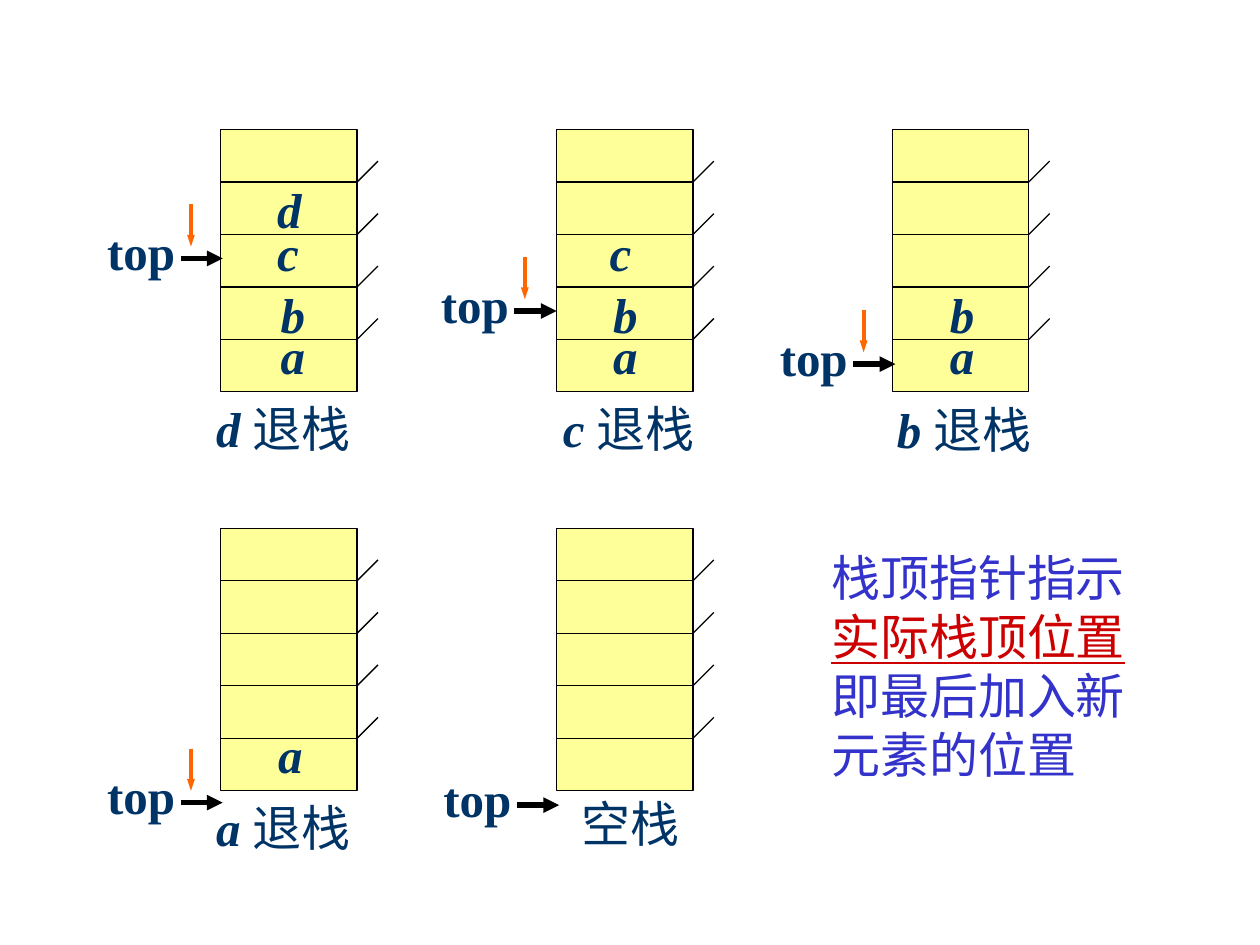
from dataclasses import dataclass

from lxml.etree import SubElement
from pptx import Presentation
from pptx.dml.color import RGBColor
from pptx.enum.shapes import MSO_CONNECTOR, MSO_SHAPE
from pptx.enum.text import MSO_ANCHOR, MSO_AUTO_SIZE, PP_ALIGN
from pptx.oxml.ns import qn
from pptx.util import Cm, Pt

COLORS = {
    "cell": "FFFF99",
    "line": "000000",
    "text": "003366",
    "move": "FF6600",
    "note": "3333CC",
    "key": "CC0000",
}
FONT = "Times New Roman"
CELLS = 5
STACK_WIDTH, STACK_HEIGHT = 2.75, 5.29
CELL_HEIGHT = STACK_HEIGHT / CELLS
NOTCH = 0.42
TEXT_HEIGHT = 1.45
FIRST_LEFT, COLUMN_STEP = 4.45, 6.77
FIRST_TOP, ROW_STEP = 2.61, 8.04
LETTERS = {
    "a": (4, 0, -0.4, 0.99),
    "b": (3, 0, -0.18, 0.99),
    "c": (2, -0.07, -0.36, 0.94),
    "d": (1, -0.07, -0.18, 0.99),
}


@dataclass
class Stack:
    """State of one stack after an element has been removed."""
    column: int
    row: int
    content: str
    letter_offset: float
    pointer_left: float
    pointer_y: float
    removed: str
    caption: str
    caption_box: tuple


STACKS = [
    Stack(0, 0, "abcd", 0.96, 1.91, 5.21, "d", "退栈", (4.11, 7.9, 3.5)),
    Stack(1, 0, "abc", 0.89, 8.64, 6.27, "c", "退栈", (11.1, 7.9, 3.45)),
    Stack(2, 0, "ab", 0.91, 15.47, 7.34, "b", "退栈", (17.83, 7.92, 3.5)),
    Stack(0, 1, "a", 0.91, 1.91, 16.18, "a", "退栈", (4.11, 15.95, 3.5)),
    Stack(1, 1, "", 0.91, 8.69, 16.23, "", "空栈", (11.48, 15.88, 2.5)),
]
NOTE = [
    ("栈顶指针指示", "note", False),
    ("实际栈顶位置", "key", True),
    ("即最后加入新", "note", False),
    ("元素的位置", "note", False),
]


def add_line(shapes, start, end, color="line", width=0.75, arrow=None):
    """Draw a straight line, with an arrowhead of the given width if asked."""
    line = shapes.add_connector(
        MSO_CONNECTOR.STRAIGHT, *(Cm(value) for value in (*start, *end)))
    line.line.color.rgb = RGBColor.from_string(COLORS[color])
    line.line.width = Pt(width)
    if arrow:
        SubElement(line.line._get_or_add_ln(), qn("a:tailEnd"),
                   type="triangle", w=arrow, len="med")
    SubElement(line._element.spPr, qn("a:effectLst"))


def add_text_box(shapes, left, top, width, height=TEXT_HEIGHT):
    """Add an unwrapped text box that fits its text and return its frame."""
    box = shapes.add_textbox(Cm(left), Cm(top), Cm(width), Cm(height))
    text_frame = box.text_frame
    text_frame.word_wrap = False
    text_frame.auto_size = MSO_AUTO_SIZE.SHAPE_TO_FIT_TEXT
    text_frame.vertical_anchor = MSO_ANCHOR.TOP
    return text_frame


def add_run(paragraph, text, color="text", bold=False, italic=False,
            underline=False):
    """Append formatted text to a paragraph."""
    paragraph.alignment = PP_ALIGN.LEFT
    run = paragraph.add_run()
    run.text = text
    run.font.name = FONT
    run.font.size = Pt(28)
    run.font.bold = bold
    run.font.italic = italic
    run.font.underline = underline
    run.font.color.rgb = RGBColor.from_string(COLORS[color])


def add_cells(shapes, left, top):
    """Draw the stack body with its dividers and slanted ticks."""
    body = shapes.add_shape(MSO_SHAPE.RECTANGLE, Cm(left), Cm(top),
                            Cm(STACK_WIDTH), Cm(STACK_HEIGHT))
    body.shadow.inherit = False
    body.fill.solid()
    body.fill.fore_color.rgb = RGBColor.from_string(COLORS["cell"])
    body.line.color.rgb = RGBColor.from_string(COLORS["line"])
    body.line.width = Pt(0.75)
    right = left + STACK_WIDTH
    for index in range(1, CELLS):
        y = top + index * CELL_HEIGHT
        add_line(shapes, (left, y), (right, y))
        add_line(shapes, (right, y), (right + NOTCH, y - NOTCH))


def add_pointer(shapes, left, y, moved):
    """Draw the top label, its arrow and the arrow of its last move."""
    text_frame = add_text_box(shapes, left, y - 0.87, 1.88)
    add_run(text_frame.paragraphs[0], "top", bold=True)
    add_line(shapes, (left + 1.73, y), (left + 2.58, y), width=3, arrow="med")
    if moved:
        x = left + 1.94
        add_line(shapes, (x, y - 1.09), (x, y - 0.24), "move", 2.25, "sm")


def add_stack(slide, stack):
    """Draw one stack with its elements, pointer and caption."""
    shapes = slide.shapes.add_group_shape().shapes
    left = FIRST_LEFT + stack.column * COLUMN_STEP
    top = FIRST_TOP + stack.row * ROW_STEP
    add_cells(shapes, left, top)
    for letter in stack.content:
        cell, shift_x, shift_y, width = LETTERS[letter]
        text_frame = add_text_box(
            shapes, left + stack.letter_offset + shift_x,
            top + cell * CELL_HEIGHT + shift_y, width)
        add_run(text_frame.paragraphs[0], letter, bold=True, italic=True)
    add_pointer(shapes, stack.pointer_left, stack.pointer_y, stack.removed)
    paragraph = add_text_box(shapes, *stack.caption_box).paragraphs[0]
    if stack.removed:
        add_run(paragraph, stack.removed + " ", bold=True, italic=True)
    add_run(paragraph, stack.caption)


def add_note(slide):
    """Write the remark on what the top pointer means."""
    text_frame = add_text_box(slide.shapes, 16.51, 10.92, 6.43, 5)
    for index, (text, color, underline) in enumerate(NOTE):
        paragraph = (text_frame.add_paragraph() if index
                     else text_frame.paragraphs[0])
        add_run(paragraph, text, color, underline=underline)


def main():
    """Build and save the slide."""
    presentation = Presentation()
    presentation.slide_width = Cm(25.4)
    presentation.slide_height = Cm(19.05)
    slide = presentation.slides.add_slide(presentation.slide_layouts[6])
    for stack in STACKS:
        add_stack(slide, stack)
    add_note(slide)
    presentation.save("out.pptx")


if __name__ == "__main__":
    main()
